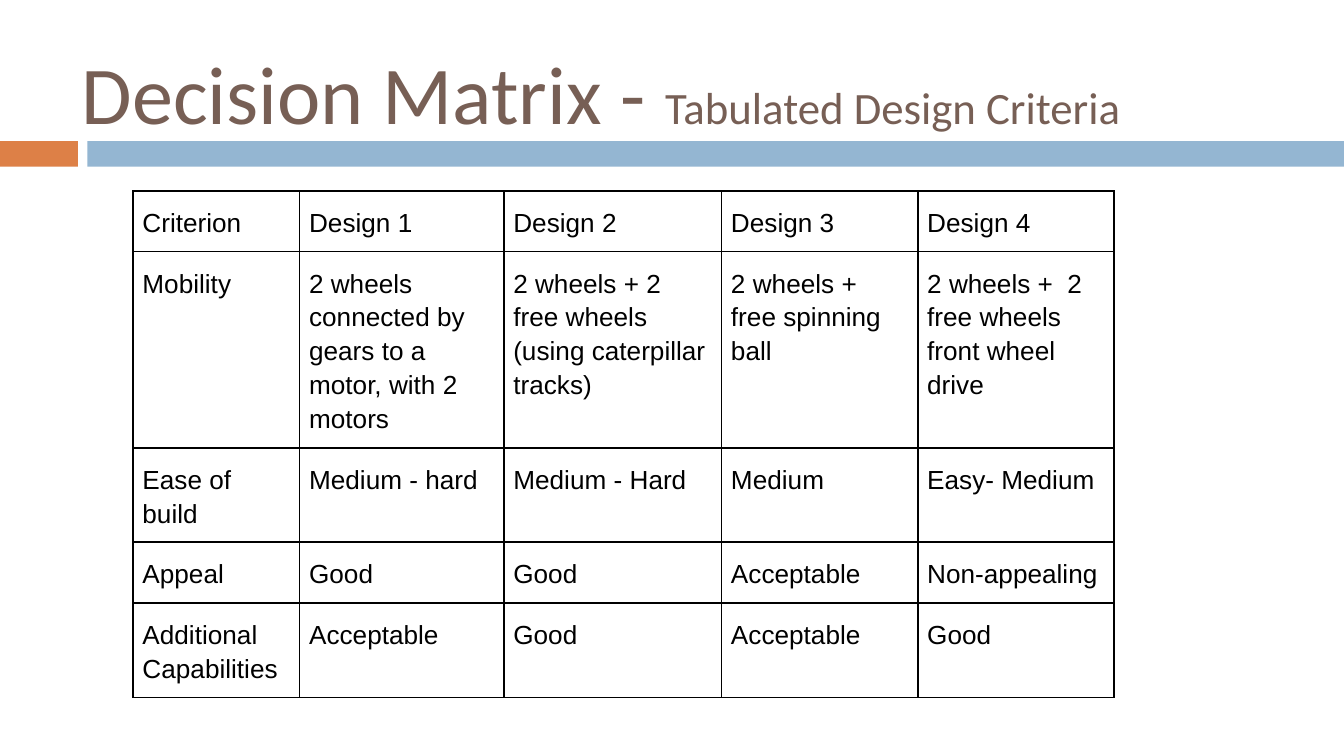
from dataclasses import dataclass

from lxml import etree
from pptx import Presentation
from pptx.dml.color import RGBColor
from pptx.enum.shapes import MSO_SHAPE
from pptx.enum.text import MSO_ANCHOR, MSO_AUTO_SIZE, PP_ALIGN
from pptx.oxml.ns import qn
from pptx.util import Inches, Pt

RECTANGLE = MSO_SHAPE.RECTANGLE
LEFT = PP_ALIGN.LEFT
TOP, BOTTOM = MSO_ANCHOR.TOP, MSO_ANCHOR.BOTTOM
NO_AUTOFIT = MSO_AUTO_SIZE.NONE
TITLE_ONLY = 5


@dataclass(frozen=True)
class Theme:
    orange: str = "DD8047"
    blue: str = "94B6D2"
    brown: str = "775F55"
    black: str = "000000"
    title_font: str = "Calibri"
    table_font: str = "Arial"
    title_size: int = 44
    subtitle_size: int = 24
    table_size: int = 14
    border_width: int = 1
    line_spacing: float = 1.15


THEME = Theme()

CRITERIA = [
    ["Criterion", "Design 1", "Design 2", "Design 3", "Design 4"],
    ["Mobility",
     "2 wheels connected by gears to a motor, with 2 motors",
     "2 wheels + 2 free wheels (using caterpillar tracks)",
     "2 wheels + free spinning ball",
     "2 wheels +  2 free wheels\nfront wheel drive"],
    ["Ease of build", "Medium - hard", "Medium - Hard", "Medium", "Easy- Medium"],
    ["Appeal", "Good", "Good", "Acceptable", "Non-appealing"],
    ["Additional Capabilities", "Acceptable", "Good", "Acceptable", "Good"],
]
COLUMN_WIDTHS = [1.24, 1.52, 1.62, 1.46, 1.46]
ROW_HEIGHTS = [0.45, 1.46, 0.7, 0.45, 0.7]


def style_font(font, name, size, color):
    font.name = name
    font.size = Pt(size)
    font.color.rgb = RGBColor.from_string(color)


def add_bar(page, left, width, color):
    bar = page.shapes.add_shape(
        RECTANGLE, Inches(left), Inches(1.05), Inches(width), Inches(0.19))
    bar.shadow.inherit = False
    bar.fill.solid()
    bar.fill.fore_color.rgb = RGBColor.from_string(color)
    bar.line.fill.background()


def set_title(page, parts):
    """Fill the title placeholder with (text, size) runs."""
    title = page.shapes.title
    title.left, title.top = Inches(0.51), Inches(0.21)
    title.width, title.height = Inches(9.18), Inches(0.94)
    frame = title.text_frame
    frame.word_wrap = True
    frame.auto_size = NO_AUTOFIT
    frame.vertical_anchor = BOTTOM
    frame.margin_left = frame.margin_right = Inches(0.1)
    frame.margin_top = frame.margin_bottom = Inches(0.1)
    para = frame.paragraphs[0]
    para.alignment = LEFT
    for text, size in parts:
        span = para.add_run()
        span.text = text
        style_font(span.font, THEME.title_font, size, THEME.brown)


def add_borders(cell):
    properties = cell._tc.get_or_add_tcPr()
    for index, side in enumerate(("lnL", "lnR", "lnT", "lnB")):
        line = etree.Element(qn(f"a:{side}"), w=str(Pt(THEME.border_width)))
        fill = etree.SubElement(line, qn("a:solidFill"))
        etree.SubElement(fill, qn("a:srgbClr"), val=THEME.black)
        properties.insert(index, line)


def fill_cell(cell, text):
    cell.text_frame.text = text
    cell.fill.background()
    cell.vertical_anchor = TOP
    cell.margin_left = cell.margin_right = Inches(0.07)
    cell.margin_top = cell.margin_bottom = Inches(0.1)
    for para in cell.text_frame.paragraphs:
        para.line_spacing = THEME.line_spacing
        for span in para.runs:
            style_font(span.font, THEME.table_font, THEME.table_size, THEME.black)
    add_borders(cell)


def add_matrix(page, rows):
    table = page.shapes.add_table(
        len(rows), len(rows[0]), Inches(0.99), Inches(1.42),
        Inches(sum(COLUMN_WIDTHS)), Inches(sum(ROW_HEIGHTS))).table
    table.first_row = table.horz_banding = False
    for column, width in zip(table.columns, COLUMN_WIDTHS):
        column.width = Inches(width)
    for row, height, texts in zip(table.rows, ROW_HEIGHTS, rows):
        row.height = Inches(height)
        for cell, text in zip(row.cells, texts):
            fill_cell(cell, text)


def main():
    deck = Presentation()
    deck.slide_width = Inches(10)
    deck.slide_height = deck.slide_width * 9 // 16
    page = deck.slides.add_slide(deck.slide_layouts[TITLE_ONLY])
    add_bar(page, 0, 0.58, THEME.orange)
    add_bar(page, 0.65, 9.35, THEME.blue)
    set_title(page, [("Decision Matrix - ", THEME.title_size),
                     ("Tabulated Design Criteria", THEME.subtitle_size)])
    add_matrix(page, CRITERIA)
    deck.save("out.pptx")


if __name__ == "__main__":
    main()
